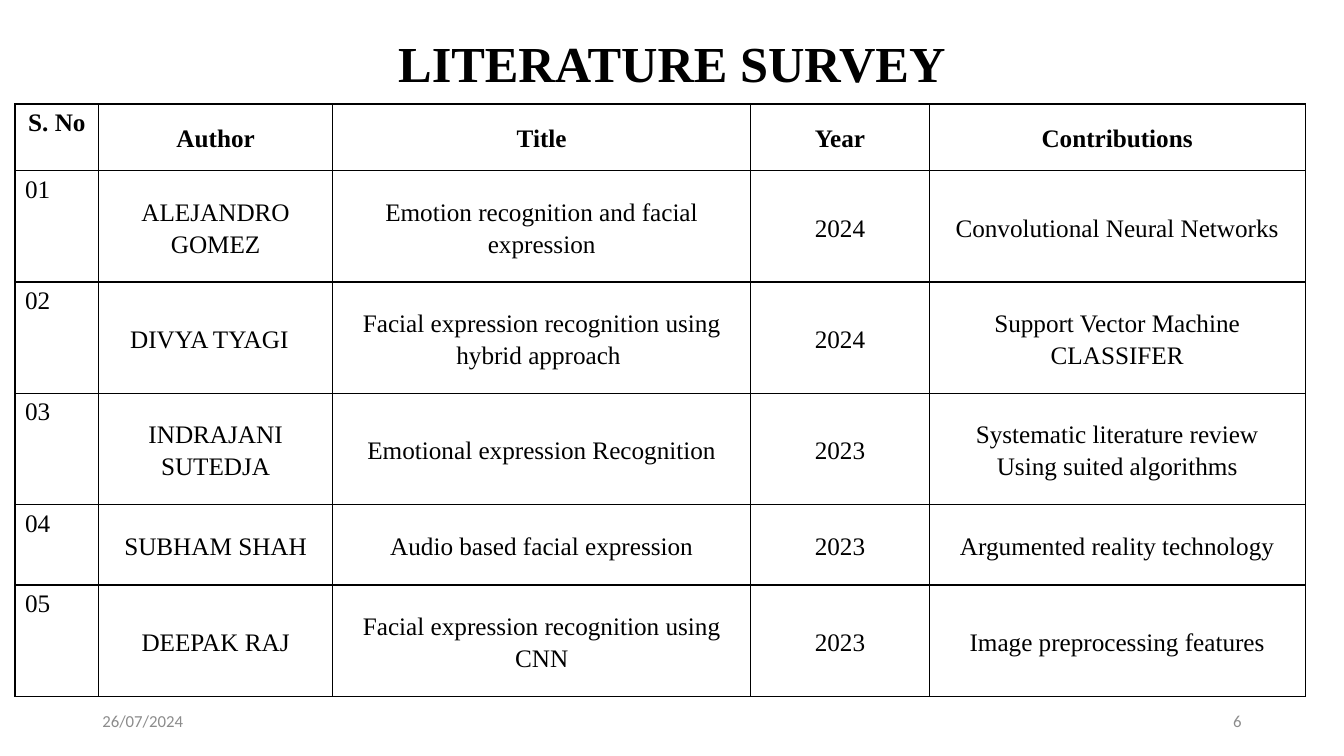
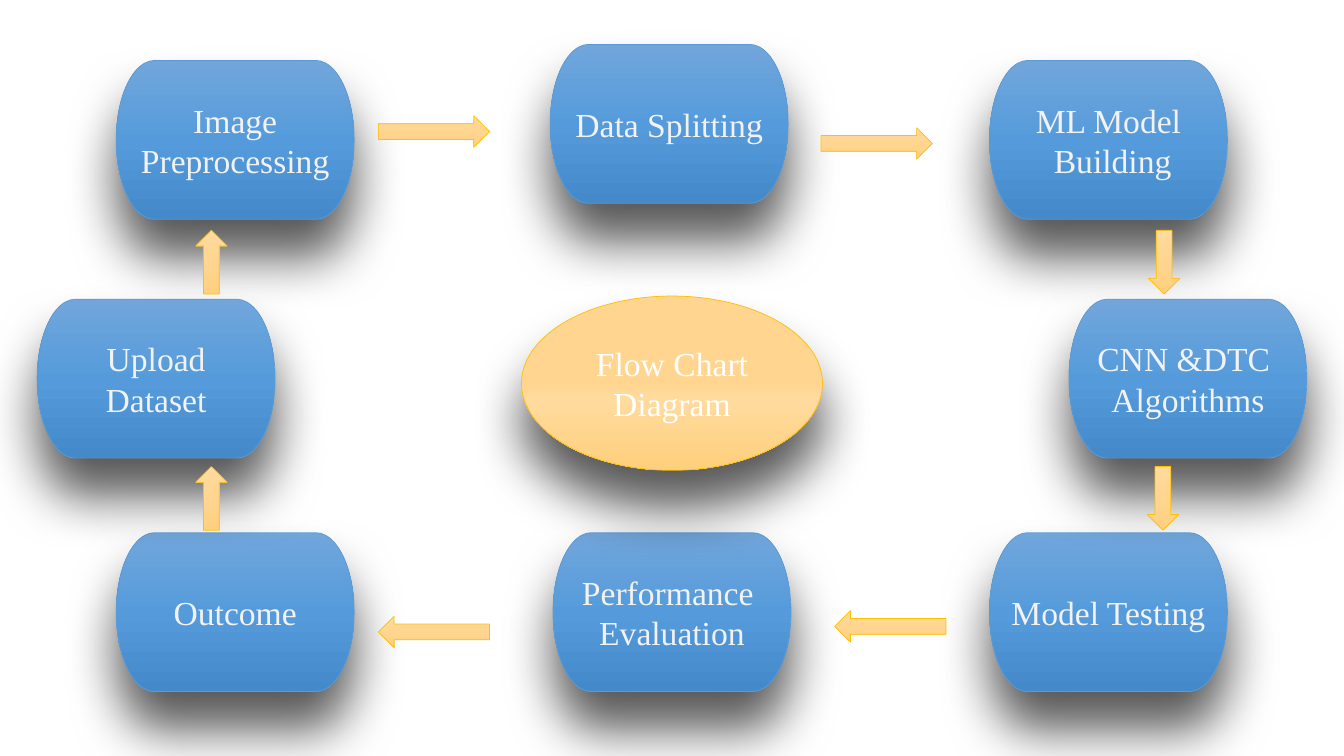
"""Build a literature survey table and a flow chart of a recognition pipeline."""
from dataclasses import dataclass

from lxml.etree import SubElement
from pptx import Presentation
from pptx.dml.color import RGBColor as RGB
from pptx.enum.shapes import MSO_SHAPE as SHAPE
from pptx.enum.text import MSO_ANCHOR as ANCHOR, PP_ALIGN as ALIGN
from pptx.oxml.ns import qn
from pptx.util import Pt


@dataclass(frozen=True)
class Theme:
    """Colours, fonts and type sizes shared by the slides."""
    serif: str = "Times New Roman"
    sans: str = "Calibri"
    ink: str = "000000"
    muted: str = "8C8C8C"
    pale: str = "F2F2F2"
    white: str = "FFFFFF"
    blue_line: str = "5B9BD5"
    gold_line: str = "FFC000"
    blue: tuple = ((0, "71A6DB"), (50, "559BDB"), (100, "448ACA"))
    gold: tuple = ((0, "FFDB9E"), (50, "FFD590"), (100, "FFD07C"))
    oval: tuple = ((50, "FFD590"), (59, "FFDB9E"), (100, "FFD07C"))
    title: int = 36
    node: int = 24
    cell: int = 18
    footer: int = 12


T = Theme()

COLUMNS = (59.8, 167, 298.8, 127.4, 268.6)
ROWS = (47.75, 79.5, 79.5, 79.5, 57.5, 79.5)
SURVEY = (
    ("S. No", "Author", "Title", "Year", "Contributions"),
    ("01", "ALEJANDRO GOMEZ", "Emotion recognition and facial expression",
     "2024", "Convolutional Neural Networks"),
    ("02", "DIVYA TYAGI  ", "Facial expression recognition using hybrid approach ",
     "2024", "Support Vector Machine CLASSIFER"),
    ("03", "INDRAJANI SUTEDJA", "Emotional expression Recognition",
     "2023", "Systematic literature review\nUsing suited algorithms"),
    ("04", "SUBHAM SHAH", "Audio based facial expression",
     "2023", "Argumented reality technology"),
    ("05", "DEEPAK RAJ", "Facial expression recognition using CNN",
     "2023", "Image preprocessing features"),
)

NODE_W, NODE_H = 170, 113.5
LEFT, RIGHT = 83, 706.75
TOP, MIDDLE, BOTTOM = 43.2, 213.75, 380.5
NODES = (
    ("Image Preprocessing", LEFT, TOP),
    ("Data Splitting", 393, 31.75),
    ("Model Testing", RIGHT, BOTTOM),
    ("ML Model\n Building", RIGHT, TOP),
    ("Outcome", LEFT, BOTTOM),
    ("CNN &DTC \nAlgorithms", 763.5, MIDDLE),
    ("Upload Dataset", 26.5, MIDDLE),
    ("Performance \nEvaluation", 395, BOTTOM),
)

ARROW_LENGTH, ARROW_WIDTH = 79.5, 22.5
ARROW_RISE = 45.5
UPPER, LOWER = 164.5, 333.25
ARROWS = (
    (SHAPE.RIGHT_ARROW, 270.2, 82.75),
    (SHAPE.RIGHT_ARROW, 586.5, 91.25),
    (SHAPE.UP_ARROW, 139.8, UPPER),
    (SHAPE.DOWN_ARROW, 820.25, UPPER),
    (SHAPE.LEFT_ARROW, 270.2, 440.2),
    (SHAPE.LEFT_ARROW, 596.25, 436.2),
    (SHAPE.UP_ARROW, 139.8, LOWER),
    (SHAPE.DOWN_ARROW, 819.5, LOWER),
)


def new_slide(prs):
    """Add a blank slide."""
    return prs.slides.add_slide(prs.slide_layouts[6])


def write(tf, text, size, color, font=T.serif, bold=False,
          align=ALIGN.CENTER, spacing=None):
    """Fill a text frame with one paragraph and run per line."""
    tf.word_wrap = True
    for i, line in enumerate(text.split("\n")):
        p = tf.add_paragraph() if i else tf.paragraphs[0]
        p.alignment = align
        p.line_spacing = spacing
        r = p.add_run()
        r.text = line
        r.font.name = font
        r.font.size = Pt(size)
        r.font.bold = bold
        r.font.color.rgb = RGB.from_string(color)


def add_text(s, text, box, size, color, **style):
    """Add a vertically centred text box."""
    tf = s.shapes.add_textbox(*map(Pt, box)).text_frame
    tf.vertical_anchor = ANCHOR.MIDDLE
    write(tf, text, size, color, **style)


def add_color(parent, color):
    """Append an RGB colour element and return it."""
    return SubElement(parent, qn("a:srgbClr"), val=color)


def set_gradient(sp, stops):
    """Give a shape a top-to-bottom gradient."""
    grad = SubElement(sp._element.spPr, qn("a:gradFill"), rotWithShape="1")
    stop_list = SubElement(grad, qn("a:gsLst"))
    for percent, color in stops:
        add_color(SubElement(stop_list, qn("a:gs"), pos=str(percent * 1000)), color)
    SubElement(grad, qn("a:lin"), ang="5400000", scaled="0")


def set_shadow(sp):
    """Cast a soft dark shadow below a shape."""
    effects = sp._element.spPr.find(qn("a:effectLst"))
    shadow = SubElement(effects, qn("a:outerShdw"), blurRad=str(Pt(38)),
                        dist=str(Pt(27)), dir="5400000", rotWithShape="0")
    SubElement(add_color(shadow, T.ink), qn("a:alpha"), val="66000")


def add_block(s, kind, box, stops, line):
    """Add a preset shape with a gradient and a thin outline."""
    sp = s.shapes.add_shape(kind, *map(Pt, box))
    set_gradient(sp, stops)
    sp.line.color.rgb = RGB.from_string(line)
    sp.line.width = Pt(0.5)
    sp.shadow.inherit = False
    return sp


def add_node(s, kind, text, box, stops, line, color=T.pale):
    """Add a labelled flow chart block with a shadow."""
    sp = add_block(s, kind, box, stops, line)
    set_shadow(sp)
    sp.text_frame.vertical_anchor = ANCHOR.MIDDLE
    write(sp.text_frame, text, T.node, color)


def add_arrow(s, kind, x, y):
    """Add a gold block arrow sized by its direction."""
    vertical = kind in (SHAPE.UP_ARROW, SHAPE.DOWN_ARROW)
    size = (ARROW_WIDTH, ARROW_RISE) if vertical else (ARROW_LENGTH, ARROW_WIDTH)
    add_block(s, kind, (x, y, *size), T.gold, T.gold_line)


def set_borders(cell):
    """Draw a black line on each side of a table cell."""
    tcPr = cell._tc.get_or_add_tcPr()
    for side in "LRTB":
        ln = SubElement(tcPr, qn(f"a:ln{side}"), w=str(Pt(1)))
        add_color(SubElement(ln, qn("a:solidFill")), T.ink)


def fill_cell(cell, text, header, first):
    """Style and fill one survey cell."""
    set_borders(cell)
    cell.fill.background()
    if not first:
        cell.vertical_anchor = ANCHOR.MIDDLE
        cell.margin_left = cell.margin_right = Pt(5.75)
        cell.margin_top = cell.margin_bottom = Pt(0)
    write(cell.text_frame, text, T.cell, T.ink, bold=header,
          align=ALIGN.LEFT if first and not header else ALIGN.CENTER,
          spacing=None if first else 1.15)


def add_survey(s, x, y):
    """Add the survey table."""
    frame = s.shapes.add_table(len(ROWS), len(COLUMNS), Pt(x), Pt(y),
                               Pt(sum(COLUMNS)), Pt(sum(ROWS)))
    table = frame.table
    table.first_row = table.horz_banding = False
    for column, width in zip(table.columns, COLUMNS):
        column.width = Pt(width)
    for i, (row, height, texts) in enumerate(zip(table.rows, ROWS, SURVEY)):
        row.height = Pt(height)
        for j, (cell, text) in enumerate(zip(row.cells, texts)):
            fill_cell(cell, text, i == 0, j == 0)


def add_footer(s, date, number):
    """Add the date and the slide number."""
    for text, x, align in ((date, 66, ALIGN.LEFT), (number, 678, ALIGN.RIGHT)):
        add_text(s, text, (x, 500.5, 216, 29), T.footer, T.muted,
                 font=T.sans, align=align)


def survey_slide(prs):
    """Build the literature survey slide."""
    s = new_slide(prs)
    add_text(s, "LITERATURE SURVEY", (0, 0, 960, 95), T.title, T.ink,
             bold=True, spacing=0.9)
    add_survey(s, 10.75, 74.25)
    add_footer(s, "26/07/2024", "6")


def flow_slide(prs):
    """Build the flow chart slide."""
    s = new_slide(prs)
    for text, x, y in NODES:
        add_node(s, SHAPE.FLOWCHART_TERMINATOR, text, (x, y, NODE_W, NODE_H),
                 T.blue, T.blue_line)
    add_node(s, SHAPE.FLOWCHART_CONNECTOR, "Flow Chart Diagram",
             (372.5, 211.5, 215, 124.5), T.oval, T.gold_line, T.white)
    for arrow in ARROWS:
        add_arrow(s, *arrow)


def main():
    """Build and save the presentation."""
    prs = Presentation()
    prs.slide_width, prs.slide_height = Pt(960), Pt(540)
    survey_slide(prs)
    flow_slide(prs)
    prs.save("out.pptx")


if __name__ == "__main__":
    main()
